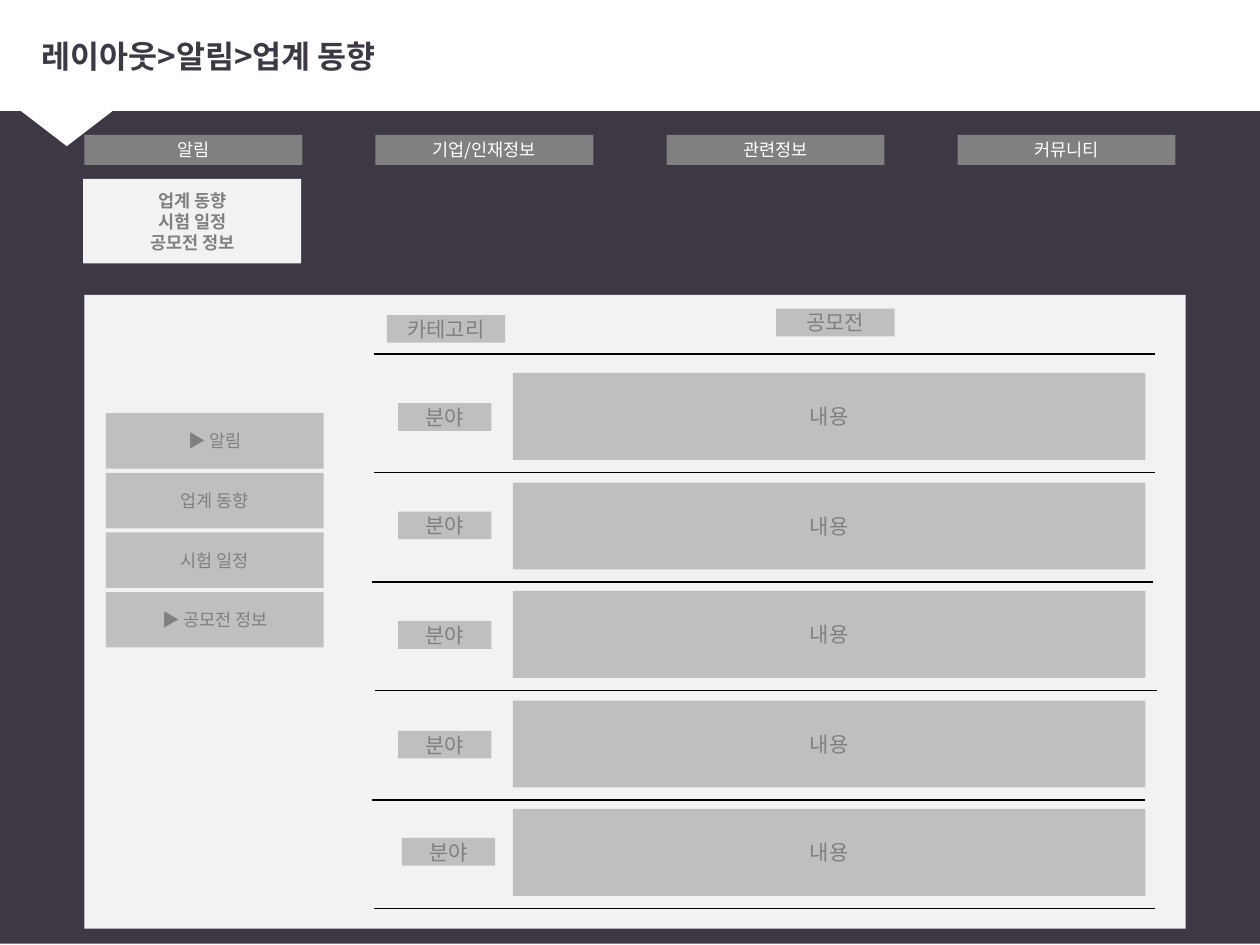
import pptx
import pptx.util
import pptx.dml.color
import pptx.enum.shapes
import pptx.enum.text
import pptx.oxml
import pptx.oxml.ns

Inches, Pt = pptx.util.Inches, pptx.util.Pt
SHAPE = pptx.enum.shapes.MSO_SHAPE
ALIGN = pptx.enum.text.PP_ALIGN
MIDDLE = pptx.enum.text.MSO_ANCHOR.MIDDLE
FONT = "Noto Sans CJK KR"
DARK, WHITE, BLACK = "3D3844", "FFFFFF", "000000"
GREY, SILVER, PALE = "808080", "BFBFBF", "F2F2F2"

TITLE = "레이아웃>알림>업계 동향"
MENU = ["알림", "기업/인재정보", "관련정보", "커뮤니티"]
SUBMENU = ["업계 동향", "시험 일정", "공모전 정보"]
SIDE_MENU = ["▶ 알림", "업계 동향", "시험 일정", "▶ 공모전 정보"]
HEADERS = [("카테고리", 3.07, 2.5), ("공모전", 6.16, 2.45)]
FIELD, CONTENT = "분야", "내용"
# Each row: field left, field top, content top
ROWS = [(3.16, 3.2, 2.96), (3.16, 4.06, 3.83), (3.16, 4.93, 4.69),
        (3.16, 5.8, 5.56), (3.19, 6.65, 6.42)]
# Each rule: left, right, height on the slide
RULES = [(2.97, 9.17, 2.81), (2.97, 9.17, 3.75), (2.95, 9.15, 4.62),
         (2.98, 9.18, 5.48), (2.95, 9.09, 6.35), (2.97, 9.17, 7.21)]


def rgb(value):
    """Turn a hex string into a colour."""
    return pptx.dml.color.RGBColor.from_string(value)


def write(sp, lines, size, color, bold=False, align=ALIGN.CENTER):
    """Put one paragraph per line into a shape."""
    tf = sp.text_frame
    tf.word_wrap = True
    tf.vertical_anchor = MIDDLE
    for i, line in enumerate(lines):
        p = tf.add_paragraph() if i else tf.paragraphs[0]
        p.alignment = align
        r = p.add_run()
        r.text = line
        for name, value in {"name": FONT, "size": Pt(size), "bold": bold}.items():
            setattr(r.font, name, value)
        r.font.color.rgb = rgb(color)
        ea = pptx.oxml.parse_xml(
            f'<a:ea {pptx.oxml.ns.nsdecls("a")} typeface="{FONT}"/>')
        r.font._element.find(pptx.oxml.ns.qn("a:latin")).addnext(ea)


def block(at, fill, lines=(), size=12, color=GREY, bold=False, kind=SHAPE.RECTANGLE):
    """Add a flat filled shape with optional centred text."""
    sp = s.shapes.add_shape(kind, *map(Inches, at))
    sp.shadow.inherit = False
    sp.fill.solid()
    sp.fill.fore_color.rgb = rgb(fill)
    sp.line.fill.background()
    write(sp, lines, size, color, bold)
    return sp


def rule(left, right, y):
    """Add a thin horizontal line."""
    line = s.shapes.add_connector(pptx.enum.shapes.MSO_CONNECTOR.STRAIGHT,
                                  *map(Inches, (left, y, right, y)))
    line.line.color.rgb = rgb(BLACK)
    line.line.width = Pt(0.75)
    line._element.spPr.append(pptx.oxml.parse_xml(
        f'<a:effectLst {pptx.oxml.ns.nsdecls("a")}/>'))


prs = pptx.Presentation()
prs.slide_width, prs.slide_height = Inches(10), Inches(7.5)
s = prs.slides.add_slide(prs.slide_layouts[5])

# Backdrop with the white title band and its pointer
block((0, -0.01, 10.14, 7.5), DARK)
block((-0.03, -0.02, 10.17, 0.9), WHITE)
block((-0.2, 0.6, 1.46, 0.56), WHITE, kind=SHAPE.ISOSCELES_TRIANGLE).rotation = 180

# Title, raised above the backdrop
title = s.shapes.title
place = {"left": 0.23, "top": 0.13, "width": 9.66, "height": 0.62}
for name, value in place.items():
    setattr(title, name, Inches(value))
write(title, [TITLE], 18, DARK, True, ALIGN.LEFT)
s.shapes._spTree.append(title._element)

# Top menu and its open submenu
for i, text in enumerate(MENU):
    block((0.67 + 2.31 * i, 1.07, 1.73, 0.24), GREY, [text], 10, WHITE)
block((0.66, 1.42, 1.73, 0.67), PALE, SUBMENU, 10, bold=True)

# Page panel with side menu and list
block((0.67, 2.34, 8.74, 5.03), PALE)
for i, text in enumerate(SIDE_MENU):
    block((0.84, 3.28 + 0.473 * i, 1.73, 0.44), SILVER, [text], 10)
for ends in RULES:
    rule(*ends)
for text, left, top in HEADERS:
    block((left, top, 0.94, 0.22), SILVER, [text])
for left, field_top, content_top in ROWS:
    block((left, field_top, 0.74, 0.22), SILVER, [FIELD])
    block((4.07, content_top, 5.02, 0.69), SILVER, [CONTENT])

prs.save("out.pptx")
